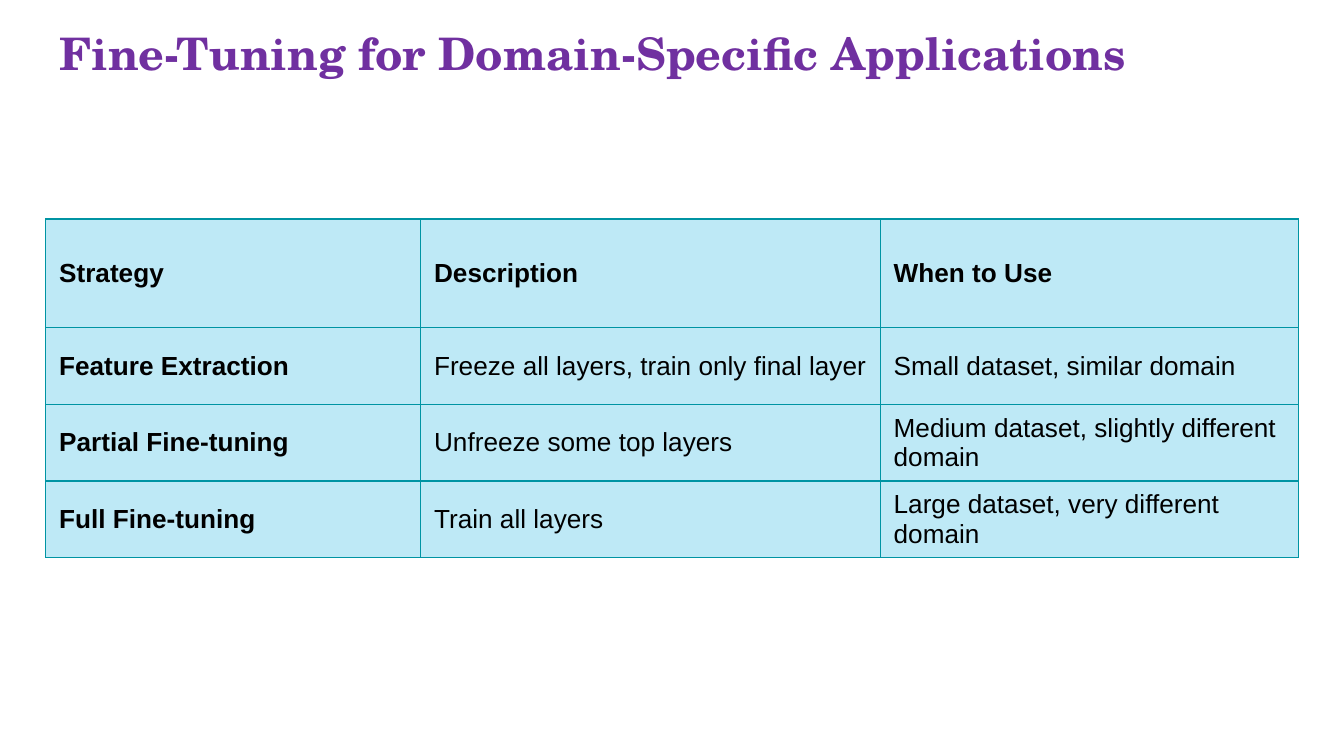
import pptx
import pptx.util
import pptx.dml.color
import pptx.enum.text
import pptx.oxml
import pptx.oxml.ns

Inches = pptx.util.Inches
Pt = pptx.util.Pt
RGBColor = pptx.dml.color.RGBColor
COLORS = {"title": "7030A0", "text": "000000", "cell": "BEE9F6", "border": "0094A3"}
SLIDE_WIDTH = 10
SLIDE_HEIGHT = SLIDE_WIDTH * 9 / 16
LEFT = 0.34
COLUMN_WIDTHS = [2.79, 3.42, 3.11]
ROW_HEIGHTS = [0.81] + [0.57] * 3
ROWS = [
    ["Strategy", "Description", "When to Use"],
    ["Feature Extraction", "Freeze all layers, train only final layer", "Small dataset, similar domain"],
    ["Partial Fine-tuning", "Unfreeze some top layers", "Medium dataset, slightly different domain"],
    ["Full Fine-tuning", "Train all layers", "Large dataset, very different domain"],
]


def write(frame, text, font="Arial", size=14, color="text", bold=False, line=None):
    para = frame.paragraphs[0]
    para.alignment = pptx.enum.text.PP_ALIGN.LEFT
    if line:
        para.line_spacing = Pt(line)
    span = para.add_run()
    span.text = text
    span.font.name = font
    span.font.size = Pt(size)
    span.font.bold = bold
    span.font.color.rgb = RGBColor.from_string(COLORS[color])


def add_borders(cell):
    properties = cell._tc.get_or_add_tcPr()
    for index, side in enumerate(["lnL", "lnR", "lnT", "lnB"]):
        border = pptx.oxml.parse_xml(
            f'<a:{side} {pptx.oxml.ns.nsdecls("a")} w="{Pt(0.75)}"><a:solidFill>'
            f'<a:srgbClr val="{COLORS["border"]}"/></a:solidFill></a:{side}>'
        )
        properties.insert(index, border)


deck = pptx.Presentation()
deck.slide_width = Inches(SLIDE_WIDTH)
deck.slide_height = Inches(SLIDE_HEIGHT)
page = deck.slides.add_slide(deck.slide_layouts[5])

title = page.shapes.title
title.left, title.top = Inches(LEFT), Inches(0.18)
title.width, title.height = Inches(8.18), Inches(0.69)
frame = title.text_frame
frame.word_wrap = True
frame.auto_size = pptx.enum.text.MSO_AUTO_SIZE.NONE
frame.vertical_anchor = pptx.enum.text.MSO_ANCHOR.TOP
frame.margin_left = frame.margin_right = frame.margin_top = frame.margin_bottom = Inches(0.1)
write(frame, "Fine-Tuning for Domain-Specific Applications",
      font="TeX Gyre Schola", size=24, color="title", bold=True, line=22.5)

table = page.shapes.add_table(
    len(ROWS), len(COLUMN_WIDTHS), Inches(LEFT), Inches(1.63),
    Inches(sum(COLUMN_WIDTHS)), Inches(sum(ROW_HEIGHTS)),
).table
table.horz_banding = False
for column, width in zip(table.columns, COLUMN_WIDTHS):
    column.width = Inches(width)
for row, height in zip(table.rows, ROW_HEIGHTS):
    row.height = Inches(height)

for row_index, texts in enumerate(ROWS):
    for column_index, text in enumerate(texts):
        cell = table.cell(row_index, column_index)
        cell.vertical_anchor = pptx.enum.text.MSO_ANCHOR.MIDDLE
        cell.fill.solid()
        cell.fill.fore_color.rgb = RGBColor.from_string(COLORS["cell"])
        add_borders(cell)
        write(cell.text_frame, text, bold=row_index == 0 or column_index == 0)

deck.save("out.pptx")
